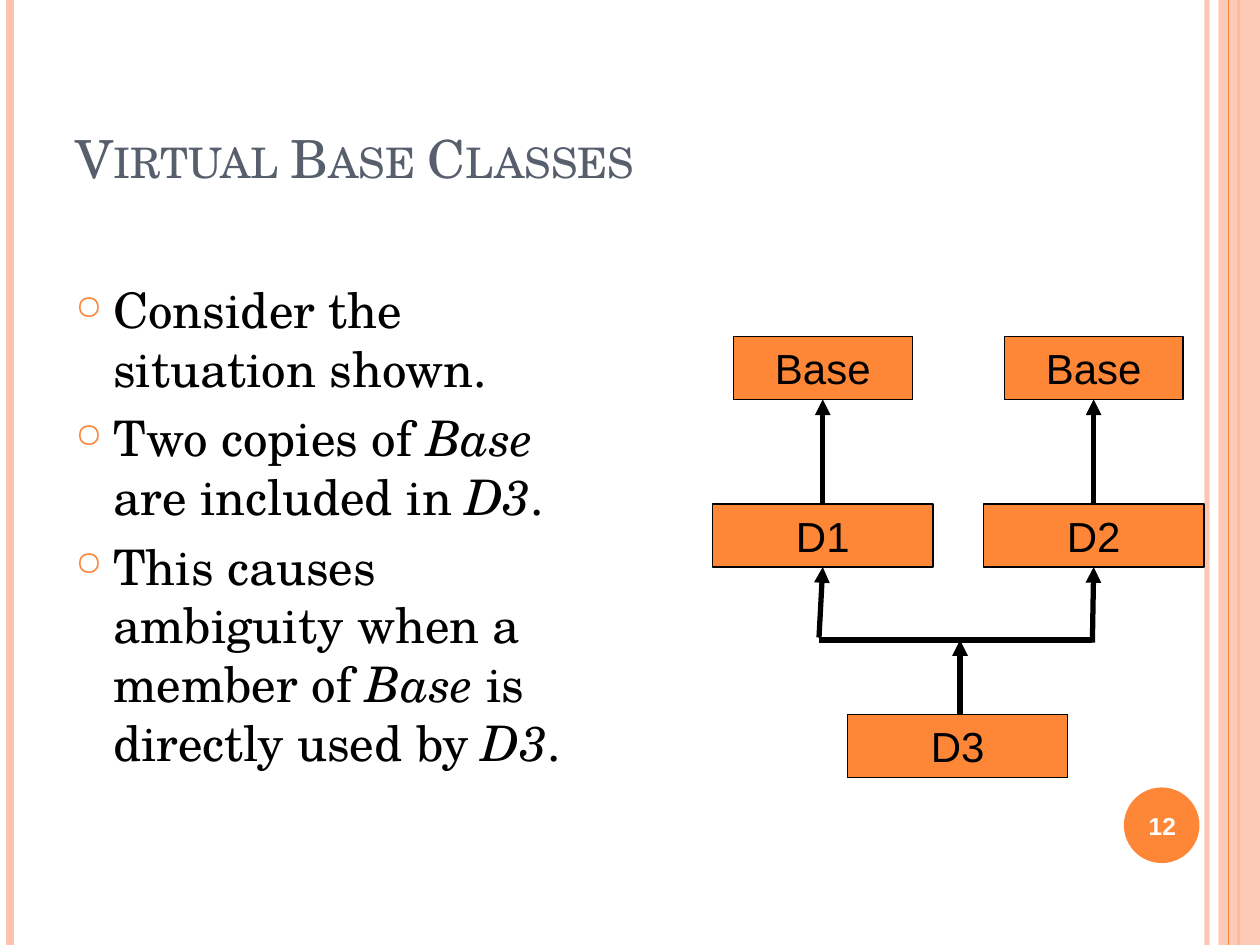
from dataclasses import dataclass

from lxml.etree import SubElement
from pptx import Presentation
from pptx.dml.color import RGBColor
from pptx.enum.shapes import MSO_CONNECTOR, MSO_SHAPE
from pptx.enum.text import MSO_ANCHOR, MSO_AUTO_SIZE, PP_ALIGN
from pptx.oxml.ns import qn
from pptx.util import Inches, Pt


@dataclass(frozen=True)
class Theme:
    orange: str = "FE8637"
    peach: str = "FEC3AE"
    slate: str = "575F6D"
    black: str = "000000"
    white: str = "FFFFFF"
    serif: str = "TeX Gyre Schola"
    sans: str = "Arial"
    title_size: int = 30
    body_size: int = 28
    class_size: int = 24
    number_size: int = 14


THEME = Theme()
WIDTH, HEIGHT = 10, 7.5
MARGIN = 0.5

# Class diagram: two branches, with rows given by the top of each box
LEFT_BRANCH, RIGHT_BRANCH = 6.53, 8.68
BASE_ROW, DERIVED_ROW, JOIN_ROW, BOTTOM_ROW = 2.67, 4, 5.08, 5.67
BOX_HEIGHT, BASE_WIDTH, DERIVED_WIDTH = 0.5, 1.42, 1.75
JOIN_LEFT, JOIN_RIGHT = 6.5, 8.67
D3_CENTER, D3_ARROW = 7.6, 7.62

BULLETS = [
    [("Consider the situation shown.", False)],
    [("Two copies of ", False), ("Base", True), (" are included in ", False),
     ("D3", True), (".", False)],
    [("This causes ambiguity when a member of ", False), ("Base", True),
     (" is directly used by ", False), ("D3", True), (".", False)],
]


def inches(*lengths):
    return [Inches(length) for length in lengths]


def style_font(font, color, **values):
    for name, value in values.items():
        setattr(font, name, value)
    font.color.rgb = RGBColor.from_string(color)


def set_opacity(fill_parent, percent):
    color = next(fill_parent.iter(qn("a:srgbClr")))
    SubElement(color, qn("a:alpha"), val=str(percent * 1000))


def add_line(slide, start, end, color, width, arrow=False, opacity=100):
    line = slide.shapes.add_connector(MSO_CONNECTOR.STRAIGHT, *inches(*start, *end))
    line.line.color.rgb = RGBColor.from_string(color)
    line.line.width = Pt(width)
    outline = line.line._get_or_add_ln()
    if opacity < 100:
        set_opacity(outline, opacity)
    if arrow:
        SubElement(outline, qn("a:tailEnd"), type="triangle")
    SubElement(line._element.spPr, qn("a:effectLst"))


def add_panel(slide, kind, box, fill, border=None):
    panel = slide.shapes.add_shape(kind, *inches(*box))
    panel.shadow.inherit = False
    panel.fill.solid()
    panel.fill.fore_color.rgb = RGBColor.from_string(fill)
    if border:
        panel.line.color.rgb = RGBColor.from_string(border)
        panel.line.width = Pt(0.75)
    else:
        panel.line.fill.background()
    return panel


def center_text(frame, text, color, **values):
    frame.vertical_anchor = MSO_ANCHOR.MIDDLE
    paragraph = frame.paragraphs[0]
    paragraph.alignment = PP_ALIGN.CENTER
    run = paragraph.add_run()
    run.text = text
    style_font(run.font, color, name=THEME.sans, **values)


def add_class_box(slide, label, center, top, width):
    box = add_panel(slide, MSO_SHAPE.RECTANGLE,
                    (center - width / 2, top, width, BOX_HEIGHT),
                    THEME.orange, THEME.black)
    box.text_frame.word_wrap = False
    center_text(box.text_frame, label, THEME.black, size=Pt(THEME.class_size))


def add_side_stripes(slide):
    for x, color, width, opacity in [
        (9.58, THEME.peach, 3, 93),
        (0.08, THEME.peach, 4.5, 100),
        (9.83, THEME.orange, 1.5, 100),
    ]:
        add_line(slide, (x, 0), (x, HEIGHT), color, width, opacity=opacity)
    band = add_panel(slide, MSO_SHAPE.RECTANGLE, (9.67, 0, 0.33, HEIGHT), THEME.peach)
    set_opacity(band._element.spPr, 87)
    add_line(slide, (9.75, 0), (9.75, HEIGHT), THEME.orange, 0.75)


def add_page_number(slide, number):
    add_panel(slide, MSO_SHAPE.OVAL, (8.92, 6.25, 0.6, 0.6), THEME.orange)
    label = slide.shapes.add_textbox(*inches(8.89, 6.27, 0.67, 0.57))
    label.text_frame.word_wrap = True
    center_text(label.text_frame, number, THEME.white,
                size=Pt(THEME.number_size), bold=True)


def set_title(slide, text):
    title = slide.shapes.title
    title.left, title.top, title.width, title.height = inches(MARGIN, 0.3, 8.17, 1.25)
    frame = title.text_frame
    frame.auto_size = MSO_AUTO_SIZE.NONE
    frame.vertical_anchor = MSO_ANCHOR.BOTTOM
    paragraph = frame.paragraphs[0]
    paragraph.alignment = PP_ALIGN.LEFT
    run = paragraph.add_run()
    run.text = text
    style_font(run.font, THEME.slate, name=THEME.serif, size=Pt(THEME.title_size))
    run._r.get_or_add_rPr().set("cap", "small")


def add_bullet_mark(paragraph):
    """Give the paragraph a hanging indent and a small orange ring."""
    properties = paragraph._p.get_or_add_pPr()
    indent = Inches(0.3)
    properties.set("marL", str(indent))
    properties.set("indent", str(-indent))
    mark_color = SubElement(properties, qn("a:buClr"))
    SubElement(mark_color, qn("a:srgbClr"), val=THEME.orange)
    SubElement(properties, qn("a:buSzPct"), val="70000")
    SubElement(properties, qn("a:buChar"), char="○")


def add_bullets(slide, bullets):
    frame = slide.shapes.add_textbox(*inches(MARGIN, 2.17, 4.33, 4.58)).text_frame
    frame.word_wrap = True
    for index, parts in enumerate(bullets):
        paragraph = frame.add_paragraph() if index else frame.paragraphs[0]
        add_bullet_mark(paragraph)
        if index:
            paragraph.space_before = Pt(6)
        for text, italic in parts:
            run = paragraph.add_run()
            run.text = text
            style_font(run.font, THEME.black, name=THEME.serif,
                       size=Pt(THEME.body_size), italic=italic)


def add_class_diagram(slide):
    branches = [(LEFT_BRANCH, "D1", (JOIN_LEFT, JOIN_ROW - 0.02)),
                (RIGHT_BRANCH, "D2", (JOIN_RIGHT, JOIN_ROW + 0.02))]
    arrows = [((D3_ARROW, BOTTOM_ROW), (D3_ARROW, JOIN_ROW))]
    for center, derived, join in branches:
        add_class_box(slide, "Base", center, BASE_ROW, BASE_WIDTH)
        add_class_box(slide, derived, center, DERIVED_ROW, DERIVED_WIDTH)
        arrows += [((center, DERIVED_ROW), (center, BASE_ROW + BOX_HEIGHT)),
                   (join, (center, DERIVED_ROW + BOX_HEIGHT))]
    add_class_box(slide, "D3", D3_CENTER, BOTTOM_ROW, DERIVED_WIDTH)
    add_line(slide, (JOIN_LEFT, JOIN_ROW), (JOIN_RIGHT, JOIN_ROW), THEME.black, 3)
    for start, end in arrows:
        add_line(slide, start, end, THEME.black, 3, arrow=True)


def main():
    deck = Presentation()
    deck.slide_width, deck.slide_height = inches(WIDTH, HEIGHT)
    slide = deck.slides.add_slide(deck.slide_layouts.get_by_name("Title Only"))
    add_side_stripes(slide)
    set_title(slide, "Virtual Base Classes")
    add_bullets(slide, BULLETS)
    add_page_number(slide, "12")
    add_class_diagram(slide)
    deck.save("out.pptx")


if __name__ == "__main__":
    main()
